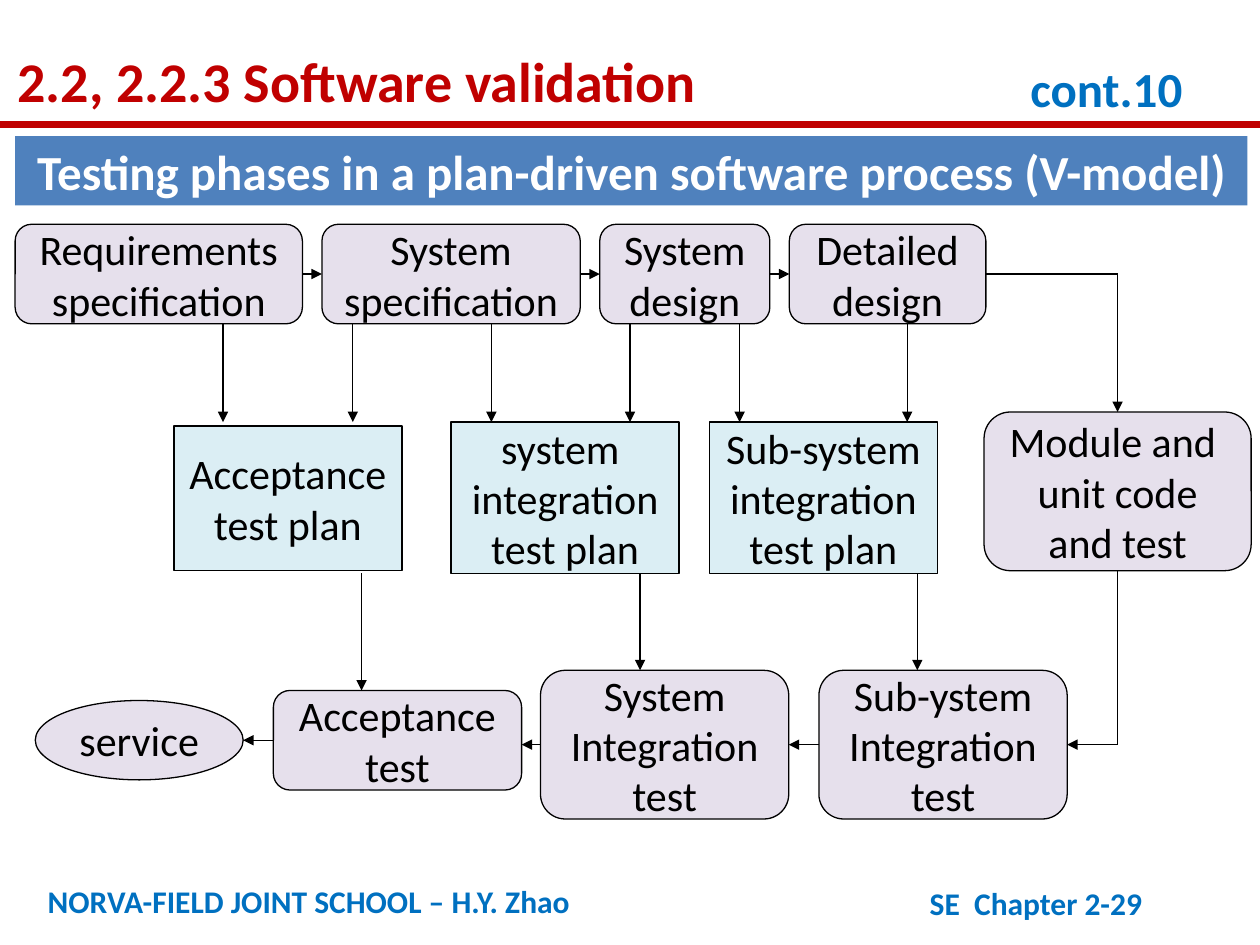
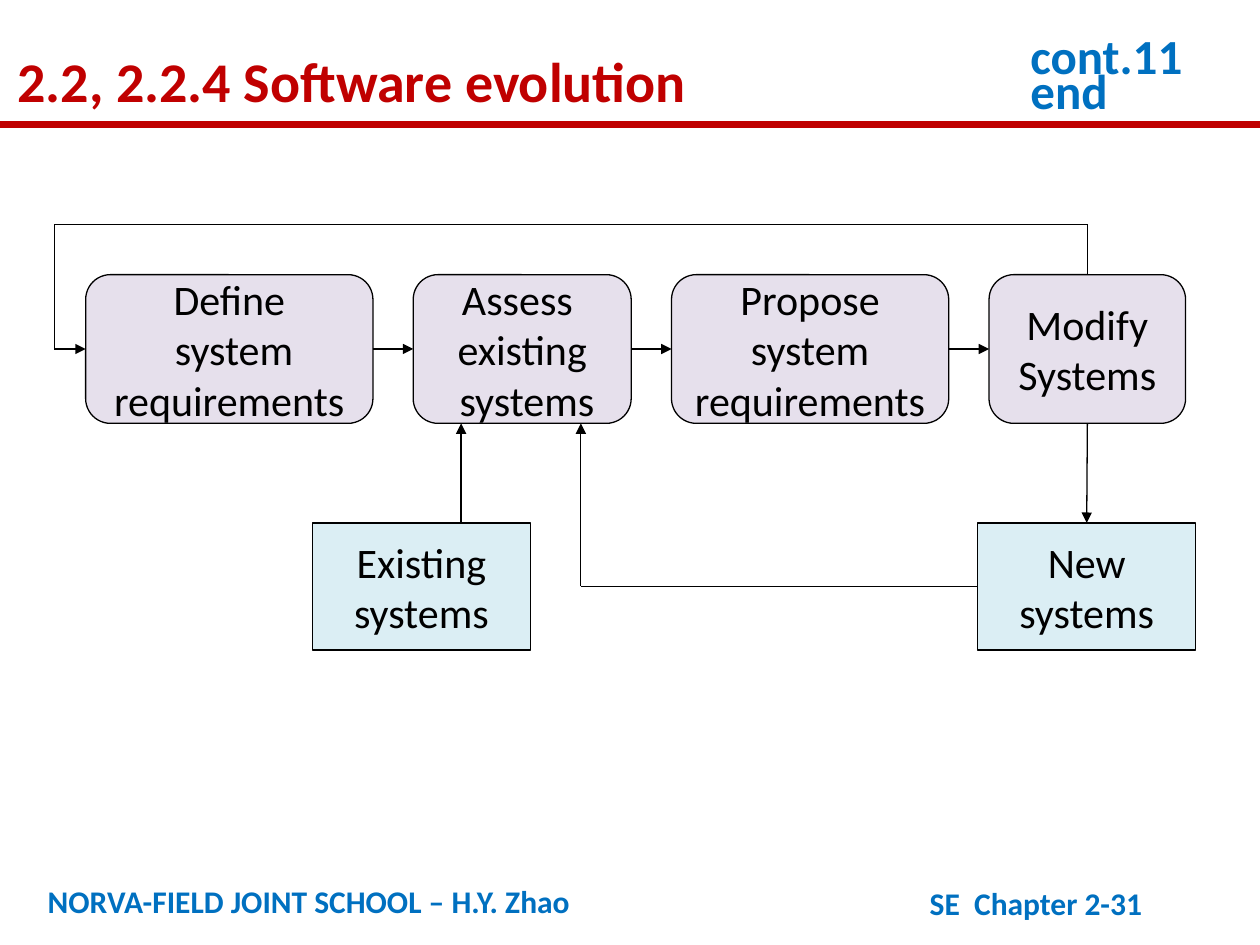
import pptx
import pptx.util
import pptx.dml.color
import pptx.enum.shapes
import pptx.enum.text
import pptx.oxml

# Grid: 100 columns by 75 rows over a 10 by 7.5 inch slide
WIDTH, HEIGHT = pptx.util.Inches(10), pptx.util.Inches(7.5)
COLUMNS, ROWS = 100, 75

RED, BLUE, BAND, WHITE, BLACK = "C00000", "0070C0", "4F81BD", "FFFFFF", "000000"
LILAC, ICE = "E6E0EC", "DBEEF4"

SHAPES = pptx.enum.shapes.MSO_SHAPE
ALIGN = pptx.enum.text.PP_ALIGN
MIDDLE = pptx.enum.text.MSO_ANCHOR.MIDDLE
GROW = pptx.enum.text.MSO_AUTO_SIZE.SHAPE_TO_FIT_TEXT
TOP, LEFT, BOTTOM, RIGHT = range(4)
NAMESPACE = 'xmlns:a="http://schemas.openxmlformats.org/drawingml/2006/main"'


def color(hex_string):
    return pptx.dml.color.RGBColor.from_string(hex_string)


def column(count):
    return round(WIDTH * count / COLUMNS)


def row(count):
    return round(HEIGHT * count / ROWS)


def place(left, top, width, height):
    return column(left), row(top), column(width), row(height)


def assign(target, values):
    for name, value in values.items():
        setattr(target, name, value)


def write(box, text, size, ink, bold=False, paragraph=None, **frame):
    """Fill a box with one paragraph for each line of the text."""
    assign(box.text_frame, {"word_wrap": True, **frame})
    for index, line in enumerate(text.split("\n")):
        para = box.text_frame.paragraphs[0] if index == 0 else box.text_frame.add_paragraph()
        assign(para, paragraph or {})
        span = para.add_run()
        span.text = line
        assign(span.font, {"name": "Calibri", "size": pptx.util.Pt(size), "bold": bold})
        span.font.color.rgb = color(ink)


def label(slide, area, text, size, ink, **options):
    box = slide.shapes.add_textbox(*place(*area))
    write(box, text, size, ink, bold=True, **options)


def filled(slide, kind, area, fill):
    shape = slide.shapes.add_shape(kind, *place(*area))
    shape.shadow.inherit = False
    shape.fill.solid()
    shape.fill.fore_color.rgb = color(fill)
    return shape


def node(slide, kind, area, fill, text):
    shape = filled(slide, kind, area, fill)
    shape.line.color.rgb = color(BLACK)
    shape.line.width = pptx.util.Pt(0.75)
    write(shape, text, 24, BLACK, paragraph={"alignment": ALIGN.CENTER},
          vertical_anchor=MIDDLE)
    return shape


def activity(slide, area, text):
    return node(slide, SHAPES.ROUNDED_RECTANGLE, area, LILAC, text)


def document(slide, area, text):
    return node(slide, SHAPES.RECTANGLE, area, ICE, text)


def line(slide, start, end, ink=BLACK, width=0.75, arrow=False):
    """Draw a line; each end is a (column, row) point or a (shape, side) pair."""
    points = [(0, 0) if hasattr(stop[0], "shape_id") else (column(stop[0]), row(stop[1]))
              for stop in (start, end)]
    connector = slide.shapes.add_connector(
        pptx.enum.shapes.MSO_CONNECTOR.STRAIGHT, *points[0], *points[1])
    for stop, join in ((start, connector.begin_connect), (end, connector.end_connect)):
        if hasattr(stop[0], "shape_id"):
            join(*stop)
    connector.line.color.rgb = color(ink)
    connector.line.width = pptx.util.Pt(width)
    if arrow:
        connector.line._get_or_add_ln().append(
            pptx.oxml.parse_xml(f'<a:tailEnd {NAMESPACE} type="triangle"/>'))
    connector._element.spPr.append(pptx.oxml.parse_xml(f"<a:effectLst {NAMESPACE}/>"))


def path_of_arrow(slide, *stops):
    """Join the stops with lines; the last one carries the arrowhead."""
    for index in range(1, len(stops)):
        line(slide, stops[index - 1], stops[index], arrow=index == len(stops) - 1)


def activity_chain(slide, left, top, height, gap, steps):
    """Set activities side by side with equal gaps, joined by arrows."""
    boxes = []
    for width, text in steps:
        boxes.append(activity(slide, (left, top, width, height), text))
        left += width + gap
    for source, target in zip(boxes, boxes[1:]):
        path_of_arrow(slide, (source, RIGHT), (target, LEFT))
    return boxes


def start_slide(deck, title, mark, mark_area, page):
    """Add a slide with the shared rule, footers, title and continuation mark."""
    slide = deck.slides.add_slide(deck.slide_layouts[6])
    line(slide, (0, 9.9), (COLUMNS, 9.9), RED, 4)
    label(slide, (2.8, 69.5, 63.1, 4), "NORVA-FIELD JOINT SCHOOL – H.Y. Zhao", 18, BLUE)
    label(slide, (72.8, 69.7, 26.1, 4), f"SE  Chapter 2-{page}", 18, BLUE)
    label(slide, (0.4, 2.1, 75.6, 7), title, 32, RED,
          paragraph={"line_spacing": 1.2}, auto_size=GROW)
    label(slide, mark_area, mark, 28, BLUE,
          paragraph={"line_spacing": pptx.util.Pt(20)}, auto_size=GROW)
    return slide


def validation_slide(deck):
    slide = start_slide(deck, "2.2, 2.2.3 Software validation", "cont.10",
                        (80.8, 6, 15.6, 4.1), 29)

    # Heading band
    band = filled(slide, SHAPES.RECTANGLE, (1.2, 10.8, 97.8, 5.5), BAND)
    band.line.fill.background()
    write(band, "Testing phases in a plan-driven software process (V-model)", 28, WHITE,
          bold=True, paragraph={"alignment": ALIGN.CENTER},
          vertical_anchor=MIDDLE, word_wrap=False)

    # Specification and design, then coding
    design = activity_chain(slide, 1.2, 17.8, 7.9, 1.55, [
        (22.8, "Requirements\nspecification"), (20.5, "System\nspecification"),
        (13.5, "System\ndesign"), (15.6, "Detailed\ndesign")])[-1]
    coding = activity(slide, (78.1, 32.7, 21.2, 12.6), "Module and \nunit code\nand test")

    # Test plans
    document(slide, (13.8, 33.8, 18.1, 11.5), "Acceptance \ntest plan")
    for left, text in ((35.8, "system "), (56.3, "Sub-system ")):
        document(slide, (left, 33.5, 18.1, 12), text + "\nintegration\ntest plan")

    # Tests and service
    node(slide, SHAPES.OVAL, (2.8, 55.6, 16.5, 6.3), LILAC, "service")
    acceptance = activity(slide, (21.7, 54.8, 19.7, 7.9), "Acceptance\ntest")
    system, subsystem = [
        activity(slide, (left, 53.2, 19.7, 11.8), text + "\nIntegration test")
        for left, text in ((42.9, "System"), (65, "Sub-ystem"))]

    # Arrows down into the plans and on into the tests
    for x in (17.7, 28, 39, 50, 58.7, 72):
        path_of_arrow(slide, (x, 25.7), (x, 33.5))
    for x, bottom in ((28.7, 54.8), (50.8, 53.2), (72.8, 53.2)):
        path_of_arrow(slide, (x, 45.5), (x, bottom))

    # Way through coding and back along the tests
    turn = 88.7
    path_of_arrow(slide, (design, RIGHT), (turn, 21.75), (coding, TOP))
    path_of_arrow(slide, (coding, BOTTOM), (turn, 59.1), (subsystem, RIGHT))
    path_of_arrow(slide, (subsystem, LEFT), (system, RIGHT))
    path_of_arrow(slide, (system, LEFT), (41.4, 59.1))
    path_of_arrow(slide, (acceptance, LEFT), (19.3, 58.75))


def evolution_slide(deck):
    slide = start_slide(deck, "2.2, 2.2.4 Software evolution", "cont.11\nend",
                        (80.8, 3.4, 15.6, 7), 31)

    # Evolution steps
    steps = activity_chain(slide, 6.8, 21.8, 11.8, 3.2, [
        (22.8, "Define\n system\nrequirements"), (17.3, "Assess \nexisting\n systems"),
        (22, "Propose system\nrequirements"), (15.6, "Modify\nSystems")])
    define, modify = steps[0], steps[-1]

    # Systems
    existing_left, new_left = 24.8, 77.6
    document(slide, (existing_left, 41.5, 17.3, 10.1), "Existing\nsystems")
    new = document(slide, (new_left, 41.5, 17.3, 10.1), "New\nsystems")

    # Arrows between systems and steps
    path_of_arrow(slide, (modify, BOTTOM), (new, TOP))
    path_of_arrow(slide, (new, LEFT), (46.1, 46.55), (46.1, 33.6))
    path_of_arrow(slide, (36.6, 41.5), (36.6, 33.6))

    # Loop back to the first step
    path_of_arrow(slide, (modify, TOP), (86.3, 17.8), (4.3, 17.8), (4.3, 27.7),
                  (define, LEFT))


def main():
    deck = pptx.Presentation()
    assign(deck, {"slide_width": WIDTH, "slide_height": HEIGHT})
    validation_slide(deck)
    evolution_slide(deck)
    deck.save("out.pptx")


if __name__ == "__main__":
    main()
